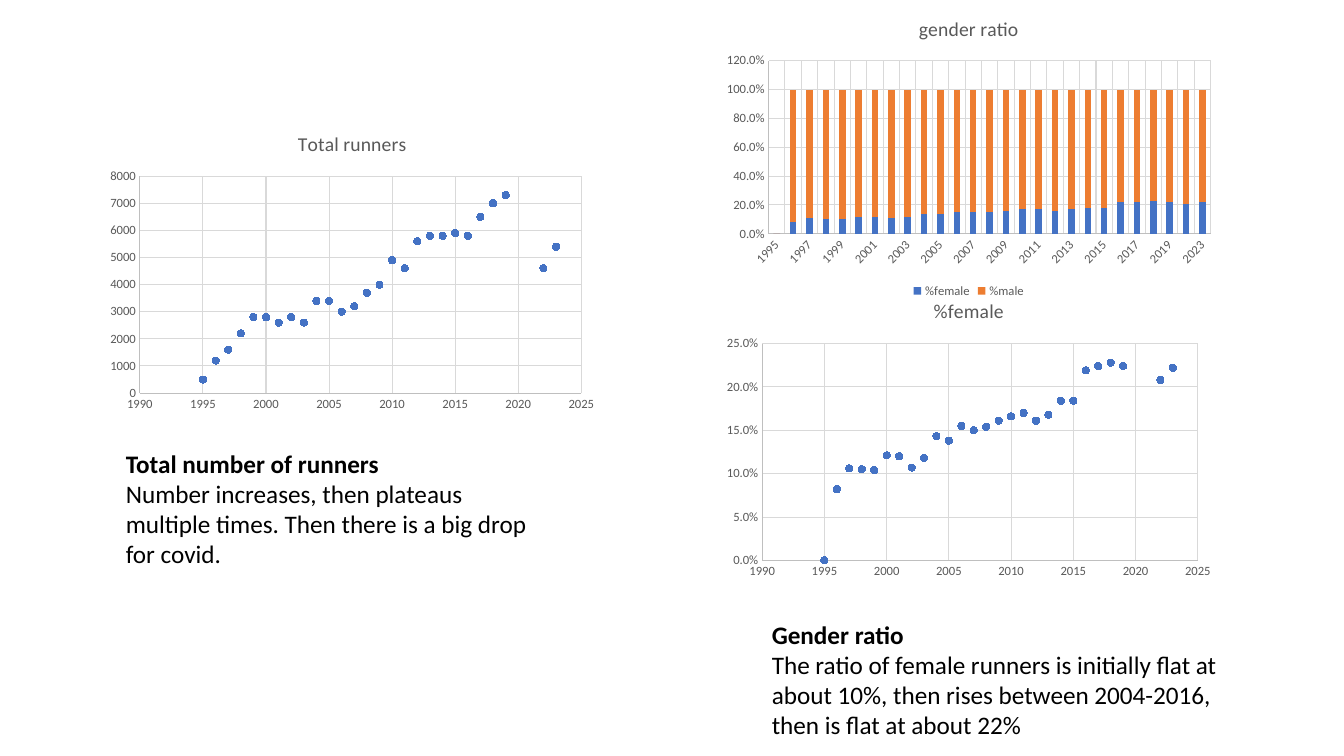
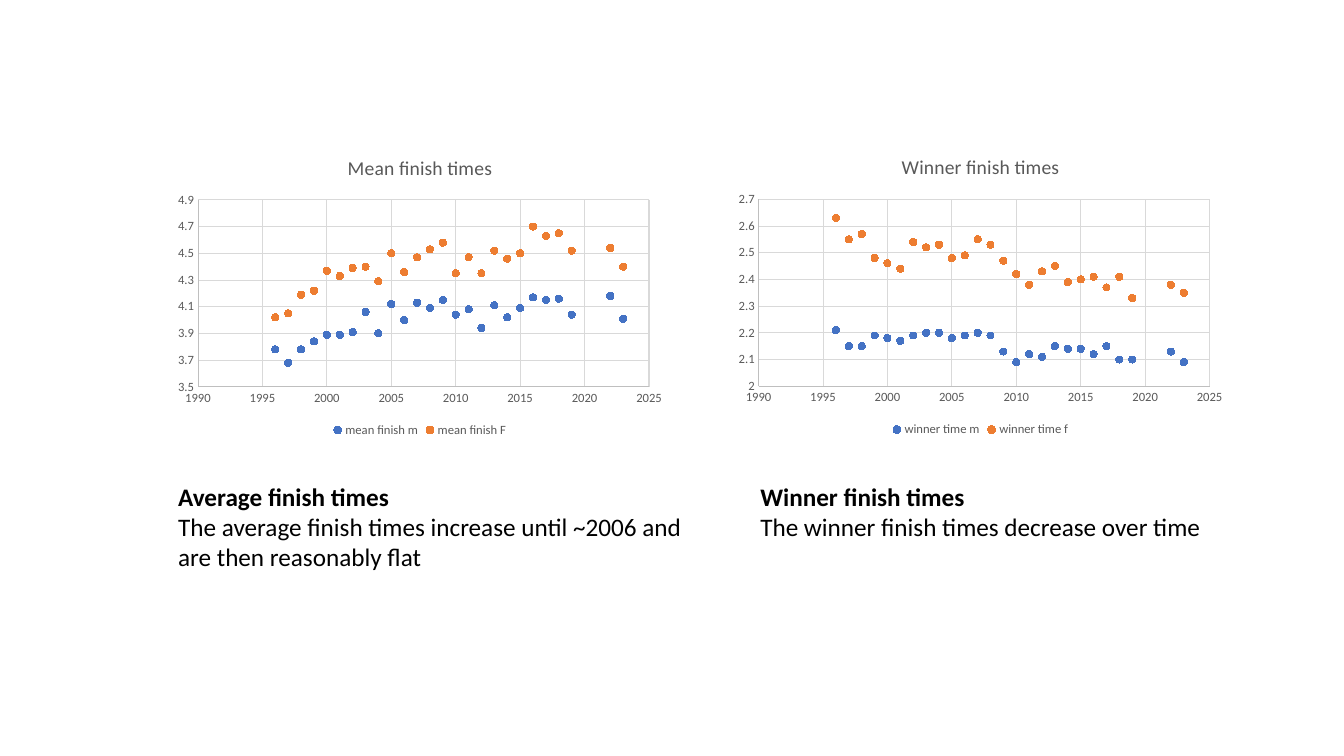
from pptx import Presentation
from pptx.chart.data import CategoryChartData, XyChartData
from pptx.dml.color import RGBColor
from pptx.enum.chart import (XL_CHART_TYPE, XL_LEGEND_POSITION,
                             XL_MARKER_STYLE, XL_TICK_MARK)
from pptx.enum.text import MSO_AUTO_SIZE
from pptx.util import Pt

FONT = "Calibri"
COLORS = {"text": "000000", "label": "595959", "axis": "BFBFBF",
          "grid": "D9D9D9", "blue": "4472C4", "orange": "ED7D31"}
HUES = ("blue", "orange")
WIDE, HIGH = 360, 216  # size of every chart

# Race data, one value per year; no race in 2020 and 2021
YEARS = [*range(1995, 2020), 2022, 2023]
TOTAL = [500, 1200, 1600, 2200, 2800, 2800, 2600, 2800, 2600, 3400, 3400,
         3000, 3200, 3700, 4000, 4900, 4600, 5600, 5800, 5800, 5900, 5800,
         6500, 7000, 7300, 4600, 5400]
FEMALE = [0, 0.082, 0.106, 0.105, 0.104, 0.121, 0.12, 0.107, 0.118, 0.143,
          0.138, 0.155, 0.15, 0.154, 0.161, 0.166, 0.17, 0.161, 0.168, 0.184,
          0.184, 0.219, 0.224, 0.228, 0.224, 0.208, 0.222]
SHARE_F = [round(part, 2) for part in FEMALE]
SHARE_M = [round(1 - part, 2) if part else 0 for part in SHARE_F]
MEAN_M = [0, 3.78, 3.68, 3.78, 3.84, 3.89, 3.89, 3.91, 4.06, 3.9, 4.12, 4,
          4.13, 4.09, 4.15, 4.04, 4.08, 3.94, 4.11, 4.02, 4.09, 4.17, 4.15,
          4.16, 4.04, 4.18, 4.01]
MEAN_F = [0, 4.02, 4.05, 4.19, 4.22, 4.37, 4.33, 4.39, 4.4, 4.29, 4.5, 4.36,
          4.47, 4.53, 4.58, 4.35, 4.47, 4.35, 4.52, 4.46, 4.5, 4.7, 4.63,
          4.65, 4.52, 4.54, 4.4]
WIN_M = [0, 2.21, 2.15, 2.15, 2.19, 2.18, 2.17, 2.19, 2.2, 2.2, 2.18, 2.19,
         2.2, 2.19, 2.13, 2.09, 2.12, 2.11, 2.15, 2.14, 2.14, 2.12, 2.15,
         2.1, 2.1, 2.13, 2.09]
WIN_F = [0, 2.63, 2.55, 2.57, 2.48, 2.46, 2.44, 2.54, 2.52, 2.53, 2.48, 2.49,
         2.55, 2.53, 2.47, 2.42, 2.38, 2.43, 2.45, 2.39, 2.4, 2.41, 2.37,
         2.41, 2.33, 2.38, 2.35]


def color(name):
    return RGBColor.from_string(COLORS[name])


def set_font(font, size, name, bold=False):
    font.name, font.size, font.bold = FONT, Pt(size), bold
    font.color.rgb = color(name)


def fill(form, name):
    form.fill.solid()
    form.fill.fore_color.rgb = color(name)


def rule(line, name):
    line.color.rgb = color(name)
    line.width = Pt(0.75)


def style_axis(axis, scale=None, code="General"):
    axis.major_tick_mark = axis.minor_tick_mark = XL_TICK_MARK.NONE
    axis.has_major_gridlines = True
    rule(axis.major_gridlines.format.line, "grid")
    rule(axis.format.line, "axis")
    labels = axis.tick_labels
    set_font(labels.font, 9, "label")
    labels.number_format, labels.number_format_is_linked = code, False
    if scale:
        axis.minimum_scale, axis.maximum_scale, axis.major_unit = scale


def add_chart(slide, spot, kind, data, title, scale, code, legend):
    left, top = spot
    chart = slide.shapes.add_chart(kind, Pt(left), Pt(top), Pt(WIDE),
                                   Pt(HIGH), data).chart
    set_font(chart.font, 10, "text")
    # Title
    chart.has_title = True
    run = chart.chart_title.text_frame.paragraphs[0].add_run()
    run.text = title
    set_font(run.font, 14, "label")
    chart.chart_title.include_in_layout = False
    # Legend
    chart.has_legend = legend
    if legend:
        chart.legend.position = XL_LEGEND_POSITION.BOTTOM
        chart.legend.include_in_layout = False
        set_font(chart.legend.font, 9, "label")
    style_axis(chart.value_axis, scale, code)
    chart.plots[0].vary_by_categories = False
    return chart


def add_dots(slide, spot, title, rows, scale, code="General"):
    data = XyChartData()
    for name, values in rows.items():
        row = data.add_series(name)
        for year, value in zip(YEARS, values):
            row.add_data_point(year, value)
    chart = add_chart(slide, spot, XL_CHART_TYPE.XY_SCATTER, data, title,
                      scale, code, len(rows) > 1)
    style_axis(chart.category_axis, (1990, 2025, 5))
    for row, hue in zip(chart.plots[0].series, HUES):
        row.smooth = False
        row.format.line.fill.background()
        row.marker.style, row.marker.size = XL_MARKER_STYLE.CIRCLE, 5
        fill(row.marker.format, hue)
        rule(row.marker.format.line, hue)


def add_stack(slide, spot, title, rows, scale, code):
    data = CategoryChartData()
    data.categories = [str(year) for year in YEARS]
    for name, values in rows.items():
        data.add_series(name, values)
    chart = add_chart(slide, spot, XL_CHART_TYPE.COLUMN_STACKED, data, title,
                      scale, code, True)
    axis = chart.category_axis
    style_axis(axis)
    # Slanted year labels
    axis._element.txPr.bodyPr.set("rot", "-2700000")
    plot = chart.plots[0]
    plot.gap_width, plot.overlap = 150, 100
    for row, hue in zip(plot.series, HUES):
        row.invert_if_negative = False
        fill(row.format, hue)


def add_note(slide, left, top, width, height, head, body):
    box = slide.shapes.add_textbox(Pt(left), Pt(top), Pt(width), Pt(height))
    frame = box.text_frame
    frame.word_wrap = True
    frame.auto_size = MSO_AUTO_SIZE.SHAPE_TO_FIT_TEXT
    for para, text, bold in ((frame.paragraphs[0], head, True),
                             (frame.add_paragraph(), body, False)):
        run = para.add_run()
        run.text = text
        set_font(run.font, 18, "text", bold)


def main():
    deck = Presentation()
    deck.slide_width, deck.slide_height = Pt(960), Pt(540)
    blank = deck.slide_layouts[6]

    # Runners and gender ratio
    slide = deck.slides.add_slide(blank)
    add_dots(slide, (71.6, 82.5), "Total runners", {"Total runners": TOTAL},
             (0, 8000, 1000))
    add_note(slide, 82.8, 316.4, 316, 94.5, "Total number of runners",
             "Number increases, then plateaus multiple times. "
             "Then there is a big drop for covid.")
    add_stack(slide, (512, 0), "gender ratio",
              {"%female": SHARE_F, "%male": SHARE_M}, (0, 1.2, 0.2), "0.0%")
    add_dots(slide, (512, 202), "%female", {"%female": FEMALE},
             (0, 0.25, 0.05), "0.0%")
    add_note(slide, 544.2, 438.5, 349.2, 94.5, "Gender ratio",
             "The ratio of female runners is initially flat at about 10%, "
             "then rises between 2004-2016, then is flat at about 22%")

    # Finish times
    slide = deck.slides.add_slide(blank)
    add_dots(slide, (120, 99.4), "Mean finish times",
             {"mean finish m": MEAN_M, "mean finish F": MEAN_F},
             (3.5, 4.9, 0.2))
    add_dots(slide, (520.4, 99), "Winner finish times",
             {"winner time m": WIN_M, "winner time f": WIN_F}, (2, 2.7, 0.1))
    add_note(slide, 120.2, 340.2, 378.7, 72.7, "Average finish times",
             "The average finish times increase until ~2006 "
             "and are then reasonably flat")
    add_note(slide, 536, 340.2, 378.7, 51, "Winner finish times",
             "The winner finish times decrease over time")

    deck.save("out.pptx")


main()
